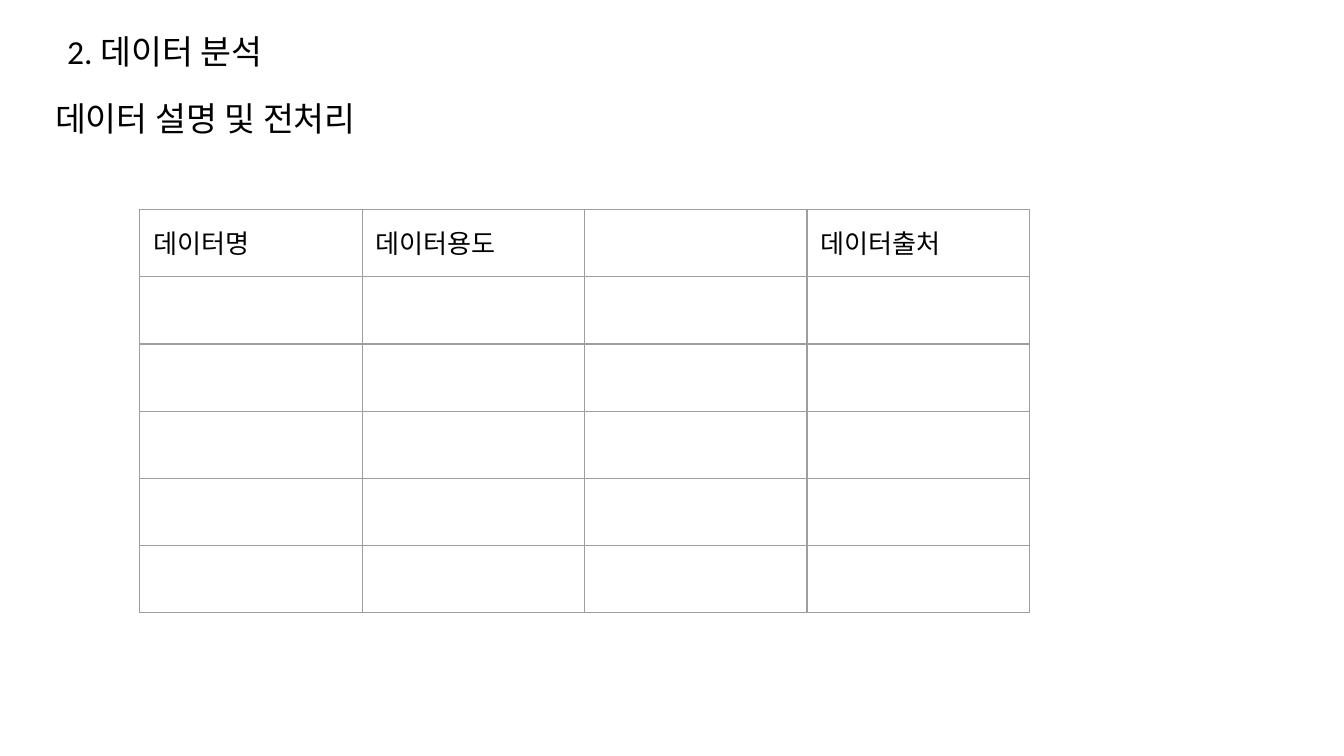
from dataclasses import dataclass

from lxml import etree
from pptx import Presentation
from pptx.dml.color import RGBColor
from pptx.enum.text import MSO_ANCHOR
from pptx.oxml.ns import qn
from pptx.util import Inches, Pt

TOP = MSO_ANCHOR.TOP
SIDES = ("a:lnL", "a:lnR", "a:lnT", "a:lnB")


@dataclass(frozen=True)
class Theme:
    ink: str = "000000"
    rule: str = "9E9E9E"
    head: str = "Calibri"
    body: str = "Arial"
    large: float = 18
    small: float = 14
    line: float = 0.75


THEME = Theme()


def write(frame, text, font=THEME.head, size=THEME.large, color=THEME.ink):
    para = frame.paragraphs[0]
    for spot, part in enumerate(text.split("\n")):
        if spot:
            para.add_line_break()
        if part:
            run = para.add_run()
            run.text = part
            run.font.name = font
            run.font.size = Pt(size)
            run.font.color.rgb = RGBColor.from_string(color)


def label(slide, text, left, top, width, height):
    box = slide.shapes.add_textbox(
        Inches(left), Inches(top), Inches(width), Inches(height))
    frame = box.text_frame
    frame.word_wrap = True
    frame.vertical_anchor = TOP
    frame.margin_left = frame.margin_right = 0
    frame.margin_top = frame.margin_bottom = 0
    write(frame, text)


def border(cell):
    props = cell._tc.get_or_add_tcPr()
    for spot, side in enumerate(SIDES):
        line = etree.Element(qn(side), w=str(Pt(THEME.line)))
        fill = etree.SubElement(line, qn("a:solidFill"))
        etree.SubElement(fill, qn("a:srgbClr"), val=THEME.rule)
        props.insert(spot, line)


def grid(slide, heads, rows, left, top, width, height):
    table = slide.shapes.add_table(
        rows, len(heads), Inches(left), Inches(top),
        Inches(width), Inches(height)).table
    table.first_row = False
    table.horz_banding = False
    for cell in table.iter_cells():
        cell.fill.background()
        border(cell)
    for col, text in enumerate(heads):
        if text:
            cell = table.cell(0, col)
            cell.margin_left = cell.margin_right = Inches(0.1)
            cell.margin_top = cell.margin_bottom = Inches(0.1)
            write(cell.text_frame, text, font=THEME.body, size=THEME.small)


def main():
    deck = Presentation()
    deck.slide_width = Inches(10)
    deck.slide_height = deck.slide_width * 9 // 16
    slide = deck.slides.add_slide(deck.slide_layouts[6])
    label(slide, "2. 데이터 분석 \n", 0.5, 0.23, 9, 0.61)
    label(slide, "데이터 설명 및 전처리", 0.41, 0.73, 9, 1.21)
    heads = ("데이터명", "데이터용도", "", "데이터출처")
    grid(slide, heads, 6, 1.04, 1.56, 6.62, 3)
    deck.save("out.pptx")


if __name__ == "__main__":
    main()
